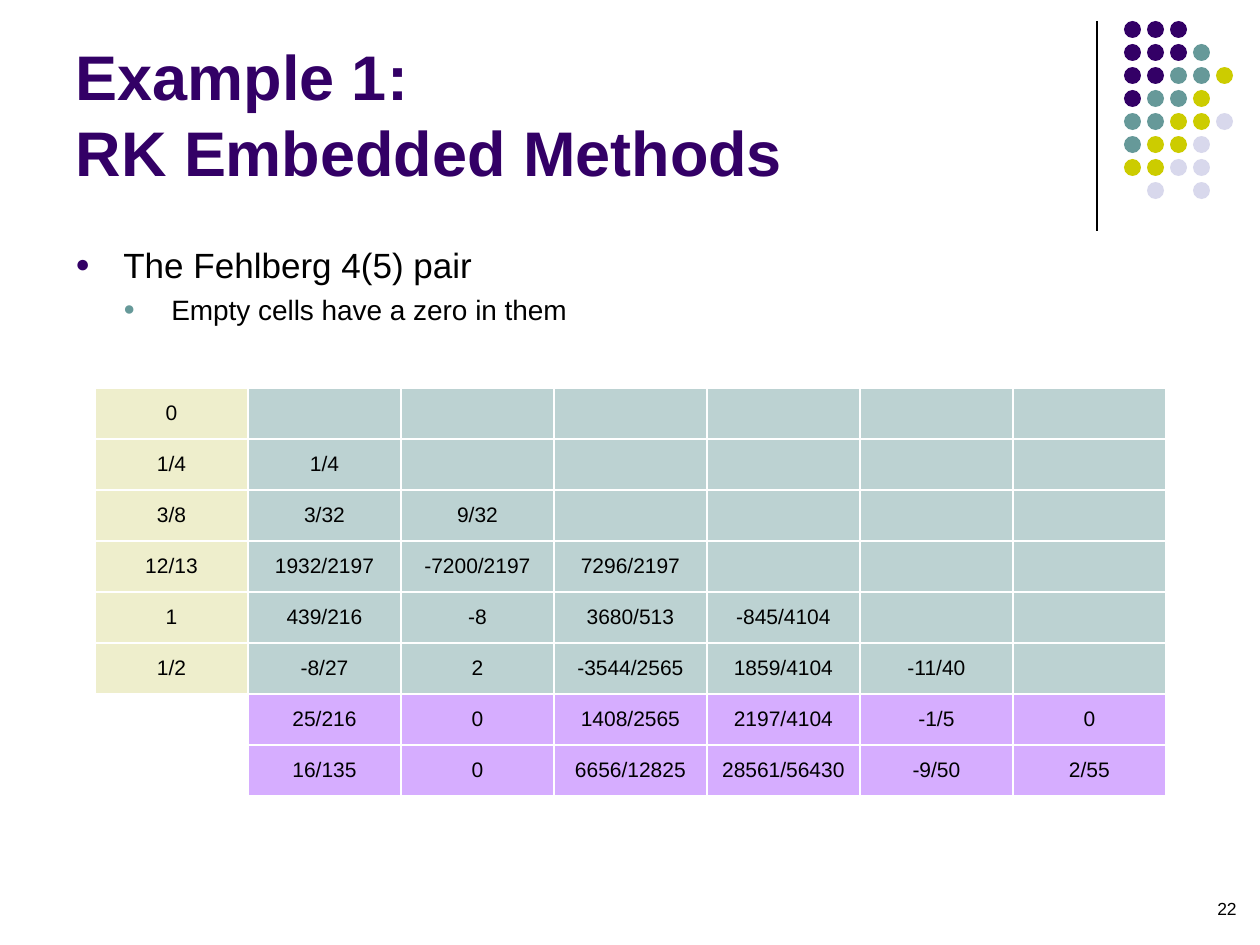
from lxml.etree import SubElement
from pptx import Presentation
from pptx.dml.color import RGBColor
from pptx.enum.shapes import MSO_CONNECTOR, MSO_SHAPE
from pptx.enum.text import MSO_ANCHOR, MSO_AUTO_SIZE, PP_ALIGN
from pptx.oxml.ns import qn
from pptx.util import Emu, Pt

SCALE = 914400 / 126
FONT = "Arial"
HEX = {
    "purple": "330066", "teal": "669999", "lime": "CCCC00", "mist": "D8D8EC",
    "black": "000000", "white": "FFFFFF",
    "cream": "EEEECC", "sage": "BCD2D2", "lilac": "D6ADFF",
}
DOTS = ["PPP", "PPPT", "PPTTL", "PTTL", "TTLLM", "TLLM", "LLMM", " M M"]
INKS = {"P": "purple", "T": "teal", "L": "lime", "M": "mist"}
NODES = [
    ["0"],
    ["1/4", "1/4"],
    ["3/8", "3/32", "9/32"],
    ["12/13", "1932/2197", "-7200/2197", "7296/2197"],
    ["1", "439/216", "-8", "3680/513", "-845/4104"],
    ["1/2", "-8/27", "2", "-3544/2565", "1859/4104", "-11/40"],
]
WEIGHTS = [
    ["", "25/216", "0", "1408/2565", "2197/4104", "-1/5", "0"],
    ["", "16/135", "0", "6656/12825", "28561/56430", "-9/50", "2/55"],
]


def px(*vals):
    """Turn pixel lengths into EMU."""
    return [Emu(round(v * SCALE)) for v in vals]


def tint(name):
    """Look up a colour by name."""
    return RGBColor.from_string(HEX[name])


def add_run(para, text, size, ink="black", bold=False):
    """Add one run of styled text."""
    run = para.add_run()
    run.text = text
    font = run.font
    font.name, font.size, font.bold = FONT, Pt(size), bold
    font.color.rgb = tint(ink)


def add_box(slide, *box):
    """Add a wrapping text box and return its frame."""
    frame = slide.shapes.add_textbox(*px(*box)).text_frame
    frame.word_wrap = True
    return frame


def add_title(slide, lines, *box):
    """Place the title and fill it line by line."""
    title = slide.shapes.title
    title.left, title.top, title.width, title.height = px(*box)
    frame = title.text_frame
    frame.auto_size = MSO_AUTO_SIZE.NONE
    frame.vertical_anchor = MSO_ANCHOR.BOTTOM
    para = frame.paragraphs[0]
    para.alignment = PP_ALIGN.LEFT
    for i, line in enumerate(lines):
        if i:
            para.add_line_break()
        add_run(para, line, 36, "purple", True)


def add_point(para, text, level, size, ink):
    """Write a bulleted line at its level."""
    para.level = level
    para.space_before = Pt(4)
    add_run(para, text, size)
    props = para._p.get_or_add_pPr()
    step = px(48)[0]
    props.set("marL", str(step * (level + 1)))
    props.set("indent", str(-step))
    mark = SubElement(props, qn("a:buClr"))
    SubElement(mark, qn("a:srgbClr"), val=HEX[ink])
    SubElement(props, qn("a:buSzPct"), val="70000")
    SubElement(props, qn("a:buFont"), typeface=FONT)
    SubElement(props, qn("a:buChar"), char="●")


def add_rule(slide, *ends):
    """Draw the thin upright rule."""
    rule = slide.shapes.add_connector(MSO_CONNECTOR.STRAIGHT, *px(*ends))
    rule.line.color.rgb = tint("black")
    rule.line.width = Pt(0.75)
    SubElement(rule._element.spPr, qn("a:effectLst"))


def add_dots(slide, left, top, pitch, size):
    """Draw the dot grid as one group."""
    group = slide.shapes.add_group_shape()
    for row, keys in enumerate(DOTS):
        for col, key in enumerate(keys):
            if key not in INKS:
                continue
            spot = px(left + col * pitch, top + row * pitch, size, size)
            dot = group.shapes.add_shape(MSO_SHAPE.OVAL, *spot)
            dot.shadow.inherit = False
            dot.fill.solid()
            dot.fill.fore_color.rgb = tint(INKS[key])
            dot.line.fill.background()


def set_cell(cell, text, ink):
    """Fill, edge and write one table cell."""
    props = cell._tc.get_or_add_tcPr()
    for side in ("lnL", "lnR", "lnT", "lnB"):
        edge = SubElement(props, qn("a:" + side), w=str(Pt(1)))
        solid = SubElement(edge, qn("a:solidFill"))
        SubElement(solid, qn("a:srgbClr"), val=HEX["white"])
    cell.fill.solid()
    cell.fill.fore_color.rgb = tint(ink)
    cell.vertical_anchor = MSO_ANCHOR.MIDDLE
    para = cell.text_frame.paragraphs[0]
    para.alignment = PP_ALIGN.CENTER
    if text:
        add_run(para, text, 12)


def add_grid(slide, left, top, wide, high):
    """Build the table of nodes and weights."""
    rows = NODES + WEIGHTS
    cols = len(WEIGHTS[0])
    box = px(left, top, wide * cols, high * len(rows))
    table = slide.shapes.add_table(len(rows), cols, *box).table
    table.first_row = table.horz_banding = False
    for col in table.columns:
        col.width = px(wide)[0]
    for r, row in enumerate(rows):
        table.rows[r].height = px(high)[0]
        first, rest = ("cream", "sage") if r < len(NODES) else ("white", "lilac")
        for c in range(cols):
            text = row[c] if c < len(row) else ""
            set_cell(table.cell(r, c), text, rest if c else first)


def main():
    """Build and save the slide."""
    deck = Presentation()
    deck.slide_width, deck.slide_height = px(1260, 945)
    slide = deck.slides.add_slide(deck.slide_layouts[5])
    add_rule(slide, 1097, 21, 1097, 231)
    add_dots(slide, 1124, 21, 23, 17)
    add_title(slide, ["Example 1: ", "RK Embedded Methods"], 63, 16, 1040, 179)
    body = add_box(slide, 63, 237, 1134, 141)
    add_point(body.paragraphs[0], "The Fehlberg 4(5) pair", 0, 20, "purple")
    add_point(body.add_paragraph(), "Empty cells have a zero in them", 1, 16, "teal")
    page = add_box(slide, 1144, 892, 105, 42).paragraphs[0]
    page.alignment = PP_ALIGN.RIGHT
    add_run(page, "22", 10)
    add_grid(slide, 95, 388, 153, 51)
    deck.save("out.pptx")


if __name__ == "__main__":
    main()
